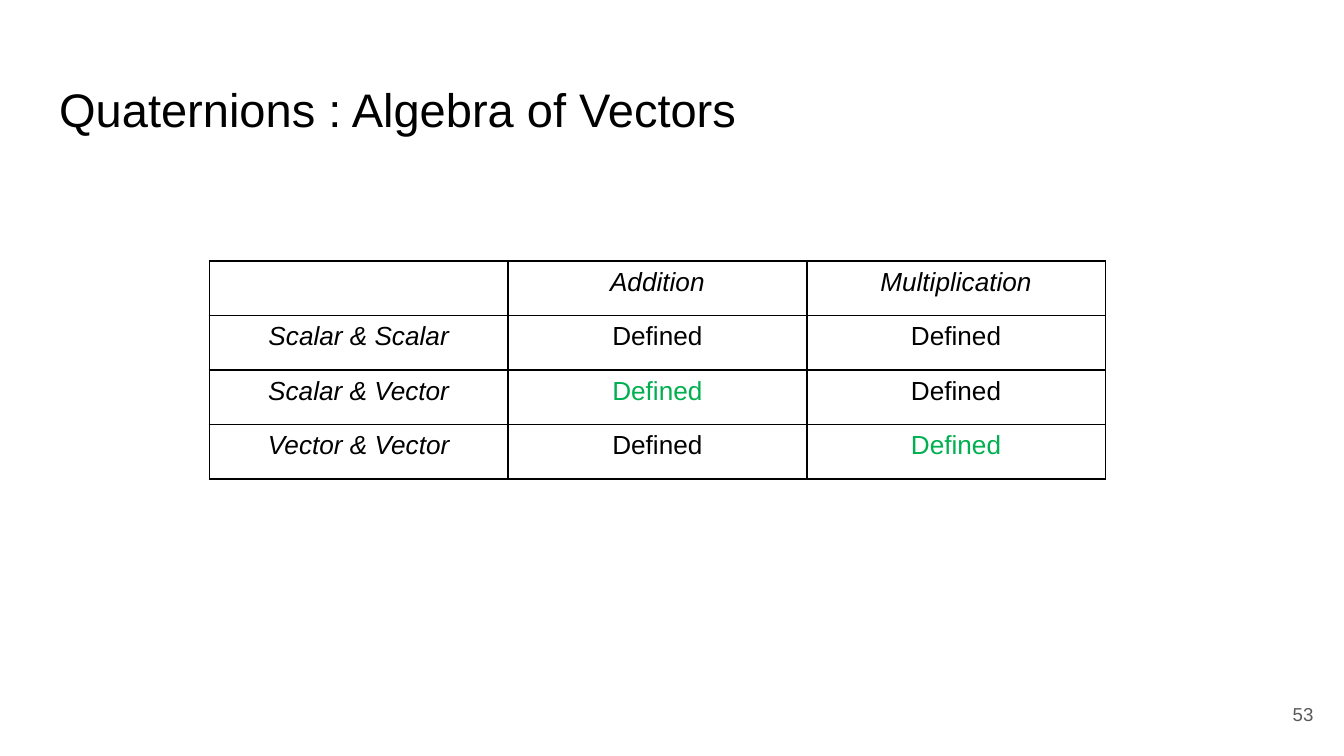
import pptx
import pptx.util
import pptx.dml.color
import pptx.enum.text
import pptx.oxml
import pptx.oxml.ns

COLORS = {"black": "000000", "gray": "595959", "green": "00B050"}
ALIGN = pptx.enum.text.PP_ALIGN
ANCHOR = pptx.enum.text.MSO_ANCHOR


class SlideBuilder:
    """Holds the style and the current slide, and adds each kind of element."""

    def __init__(self, slide, font="Arial"):
        self.slide = slide
        self.font = font

    def add_run(self, paragraph, text, size, color="black", italic=False):
        run = paragraph.add_run()
        run.text = text
        run.font.name = self.font
        run.font.size = pptx.util.Pt(size)
        run.font.bold = False
        run.font.italic = italic
        run.font.color.rgb = pptx.dml.color.RGBColor.from_string(COLORS[color])

    def fill_text(self, shape, text, size, color, alignment):
        frame = shape.text_frame
        frame.word_wrap = True
        frame.auto_size = pptx.enum.text.MSO_AUTO_SIZE.NONE
        frame.vertical_anchor = ANCHOR.MIDDLE
        frame.margin_left = frame.margin_right = pptx.util.Pt(7.2)
        frame.margin_top = frame.margin_bottom = pptx.util.Pt(7.2)
        paragraph = frame.paragraphs[0]
        paragraph.alignment = alignment
        self.add_run(paragraph, text, size, color)

    def add_title(self, text, left, top, width, height):
        shape = self.slide.shapes.title
        shape.left, shape.top = pptx.util.Pt(left), pptx.util.Pt(top)
        shape.width, shape.height = pptx.util.Pt(width), pptx.util.Pt(height)
        self.fill_text(shape, text, 25.2, "black", ALIGN.LEFT)

    def add_page_number(self, text, left, top, width, height):
        box = map(pptx.util.Pt, (left, top, width, height))
        shape = self.slide.shapes.add_textbox(*box)
        self.fill_text(shape, text, 10, "gray", ALIGN.RIGHT)

    def add_borders(self, cell):
        properties = cell._tc.get_or_add_tcPr()
        for index, side in enumerate(("lnL", "lnR", "lnT", "lnB")):
            border = pptx.oxml.parse_xml(
                f'<a:{side} {pptx.oxml.ns.nsdecls("a")} w="{pptx.util.Pt(1)}">'
                f'<a:solidFill><a:srgbClr val="{COLORS["black"]}"/></a:solidFill>'
                f'</a:{side}>'
            )
            properties.insert(index, border)

    def add_table(self, rows, green_cells, left, top, column_width, row_height):
        columns = len(rows[0])
        box = (left, top, column_width * columns, row_height * len(rows))
        table = self.slide.shapes.add_table(
            len(rows), columns, *map(pptx.util.Pt, box)
        ).table
        table.first_row = False
        table.horz_banding = False
        for row_index, row in enumerate(rows):
            for column_index, text in enumerate(row):
                cell = table.cell(row_index, column_index)
                cell.fill.background()
                self.add_borders(cell)
                if text:
                    paragraph = cell.text_frame.paragraphs[0]
                    paragraph.alignment = ALIGN.CENTER
                    is_green = (row_index, column_index) in green_cells
                    is_heading = row_index == 0 or column_index == 0
                    color = "green" if is_green else "black"
                    self.add_run(paragraph, text, 14, color, is_heading)


def main():
    presentation = pptx.Presentation()
    presentation.slide_width = pptx.util.Pt(720)
    presentation.slide_height = pptx.util.Pt(405)
    slide = presentation.slides.add_slide(presentation.slide_layouts[5])
    builder = SlideBuilder(slide)

    builder.add_title("Quaternions : Algebra of Vectors", 24.5, 35.5, 671, 45)
    builder.add_page_number("53", 667.5, 367.2, 43.2, 31)
    rows = [
        ("", "Addition", "Multiplication"),
        ("Scalar & Scalar", "Defined", "Defined"),
        ("Scalar & Vector", "Defined", "Defined"),
        ("Vector & Vector", "Defined", "Defined"),
    ]
    builder.add_table(rows, {(2, 1), (3, 2)}, 112.2, 139.8, 160, 29.2)

    presentation.save("out.pptx")


if __name__ == "__main__":
    main()
